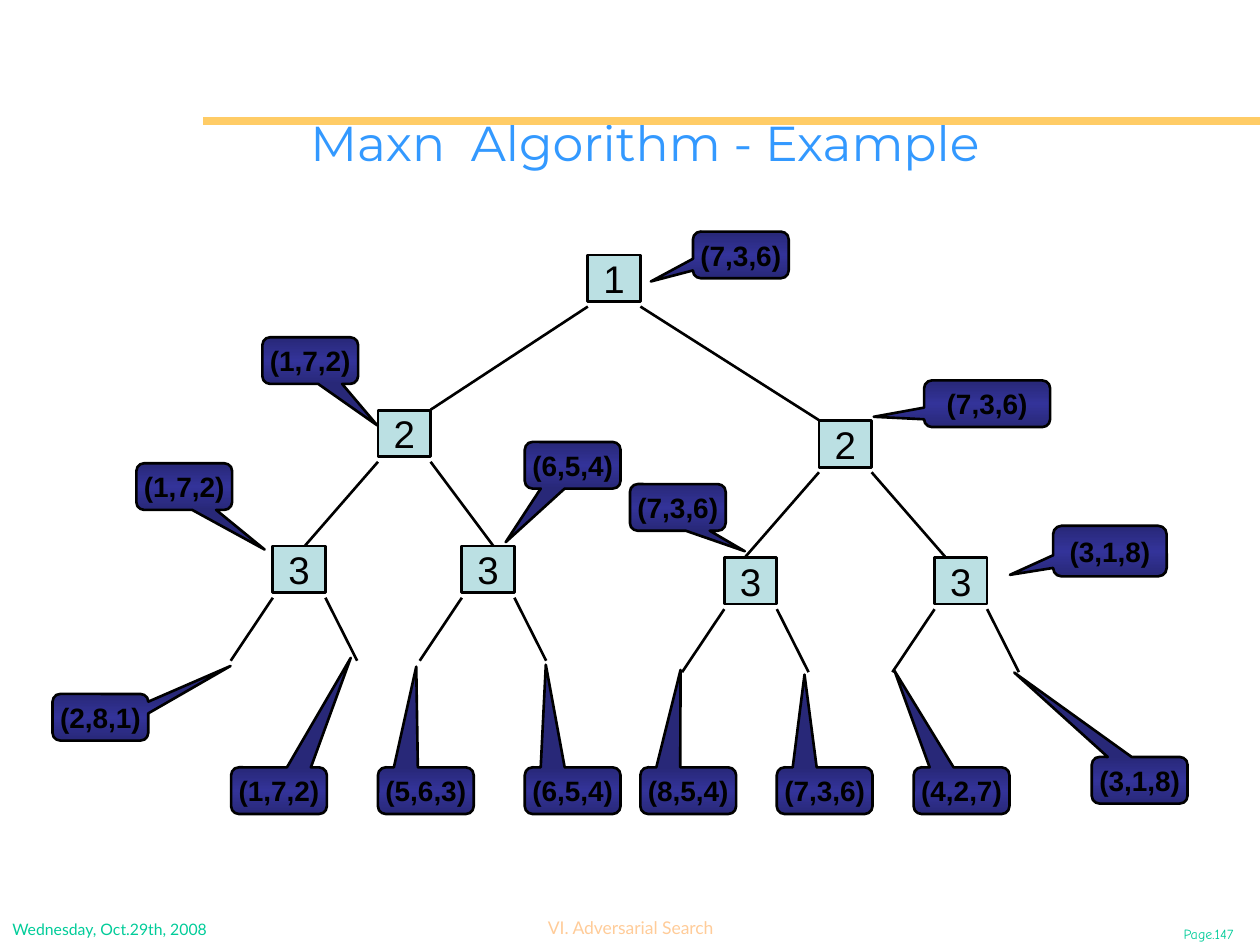
from copy import deepcopy
from pptx import Presentation
from pptx.dml.color import RGBColor
from pptx.enum.shapes import MSO_CONNECTOR, MSO_SHAPE
from pptx.enum.text import MSO_ANCHOR, PP_ALIGN
from pptx.oxml.ns import qn
from pptx.oxml.xmlchemy import OxmlElement
from pptx.util import Cm, Pt

LINE = MSO_CONNECTOR.STRAIGHT
RECT = MSO_SHAPE.RECTANGLE
BUBBLE = MSO_SHAPE.ROUNDED_RECTANGULAR_CALLOUT
LEFT, MID = PP_ALIGN.LEFT, PP_ALIGN.CENTER
TOP, CENTER = MSO_ANCHOR.TOP, MSO_ANCHOR.MIDDLE
TINT = {"black": "000000", "gold": "FFCC66", "green": "00CC99", "peach": "FFCC99",
        "sky": "3399FF", "node": "BBE0E3", "dark": "282878", "navy": "333399"}
TINT = {key: RGBColor.from_string(code) for key, code in TINT.items()}


def write(shape, text, size, font, tint, align=MID, anchor=CENTER, pad=(0, 0), bold=False):
    frame = shape.text_frame
    frame.word_wrap = True
    frame.vertical_anchor = anchor
    frame.margin_left = frame.margin_right = Cm(pad[0])
    frame.margin_top = frame.margin_bottom = Cm(pad[1])
    para = frame.paragraphs[0]
    para.alignment = align
    run = para.add_run()
    run.text = text
    run.font.size = Pt(size)
    run.font.name = font
    run.font.bold = bold
    run.font.color.rgb = TINT[tint]


def draw(x1, y1, x2, y2, tint="black", width=1.5):
    line = slide.shapes.add_connector(LINE, Cm(x1), Cm(y1), Cm(x2), Cm(y2))
    line.line.color.rgb = TINT[tint]
    line.line.width = Pt(width)
    line.element.spPr.append(OxmlElement("a:effectLst"))


deck = Presentation()
deck.slide_width, deck.slide_height = Cm(25.4), Cm(19.05)
slide = deck.slides.add_slide(deck.slide_layouts[5])

draw(4.1, 2.44, 25.4, 2.44, "gold", 4.5)

notes = [
    ("Page.147", 23.44, 18.52, 1.85, 0.6, 8, "Comic Neue", "green", MID),
    ("VI. Adversarial Search", 10.67, 18.36, 4.09, 0.69, 10, "Lato", "peach", MID),
    ("Wednesday, Oct.29th, 2008", 0, 18.42, 6.1, 0.63, 9, "Lato", "green", LEFT),
]
for text, x, y, wide, high, size, font, tint, align in notes:
    box = slide.shapes.add_textbox(Cm(x), Cm(y), Cm(wide), Cm(high))
    write(box, text, size, font, tint, align, TOP, (0.25, 0.13))

title = slide.shapes.title
title.left, title.top = Cm(1.47), Cm(1.27)
title.width, title.height = Cm(23.06), Cm(3.18)
write(title, "Maxn  Algorithm - Example", 28, "Montserrat", "sky", pad=(0.25, 0.13))

side, high = 1.06, 0.94
nodes = [
    ("1", 11.85, 5.14, (8.68, 8.26), (16.51, 8.47)),
    ("2", 7.62, 8.27, (6.14, 11.01), (9.95, 11.01)),
    ("2", 16.51, 8.48, (15.03, 11.22), (19.05, 11.22)),
]
for x, y in [(5.5, 11.01), (9.31, 11.01), (14.6, 11.24), (18.84, 11.24)]:
    nodes.append(("3", x, y, (x - 0.85, y + 2.31), (x + side + 0.64, y + 2.31)))
for text, x, y, near, far in nodes:
    node = slide.shapes.add_shape(RECT, Cm(x), Cm(y), Cm(side), Cm(high))
    node.shadow.inherit = False
    node.fill.solid()
    node.fill.fore_color.rgb = TINT["node"]
    node.line.color.rgb = TINT["black"]
    node.line.width = Pt(1.5)
    write(node, text, 22, "Arial", "black")
    draw(x, y + 1.04, *near)
    draw(x + side, y + 1.04, *far)

wide, base = 1.93, 15.47
calls = [
    ("(7,3,6)", 13.97, 4.67, wide, high, -0.94, 0.57),
    ("(7,3,6)", 18.63, 7.67, 2.54, high, -0.9, 0.28),
    ("(3,1,8)", 21.23, 10.6, 2.29, 1.02, -0.88, 0.47),
    ("(6,5,4)", 10.58, 8.91, wide, high, -0.7, 1.65),
    ("(7,3,6)", 12.7, 9.76, wide, high, 0.7, 0.94),
    ("(1,7,2)", 5.29, 6.8, wide, high, 0.7, 1.39),
    ("(1,7,2)", 2.75, 9.34, wide, high, 0.84, 1.35),
    ("(2,8,1)", 1.06, 13.99, wide, high, 1.36, -1.1),
    ("(1,7,2)", 4.66, base, wide, high, 0.75, -2.85),
    ("(5,6,3)", 7.62, base, wide, high, -0.1, -2.66),
    ("(6,5,4)", 10.58, base, wide, high, -0.28, -2.7),
    ("(8,5,4)", 12.91, base, wide, high, -0.08, -2.59),
    ("(7,3,6)", 15.66, base, wide, high, -0.21, -2.49),
    ("(4,2,7)", 18.42, base, wide, high, -0.7, -2.57),
    ("(3,1,8)", 22.01, 15.26, wide, high, -1.31, -2.31),
]
for text, x, y, w, h, tip_x, tip_y in calls:
    call = slide.shapes.add_shape(BUBBLE, Cm(x), Cm(y), Cm(w), Cm(h))
    call.shadow.inherit = False
    call.adjustments[0] = tip_x
    call.adjustments[1] = tip_y
    call.fill.gradient()
    call.fill.gradient_angle = 90
    stop = call.element.spPr.find(".//" + qn("a:gs"))
    stop.addnext(deepcopy(stop))
    for stop, place, tint in zip(call.fill.gradient_stops, (0, 0.5, 1), ("dark", "navy", "dark")):
        stop.position = place
        stop.color.rgb = TINT[tint]
    call.line.color.rgb = TINT["black"]
    call.line.width = Pt(1.5)
    write(call, text, 16, "Arial", "black", pad=(0, 0.1), bold=True)

deck.save("out.pptx")
